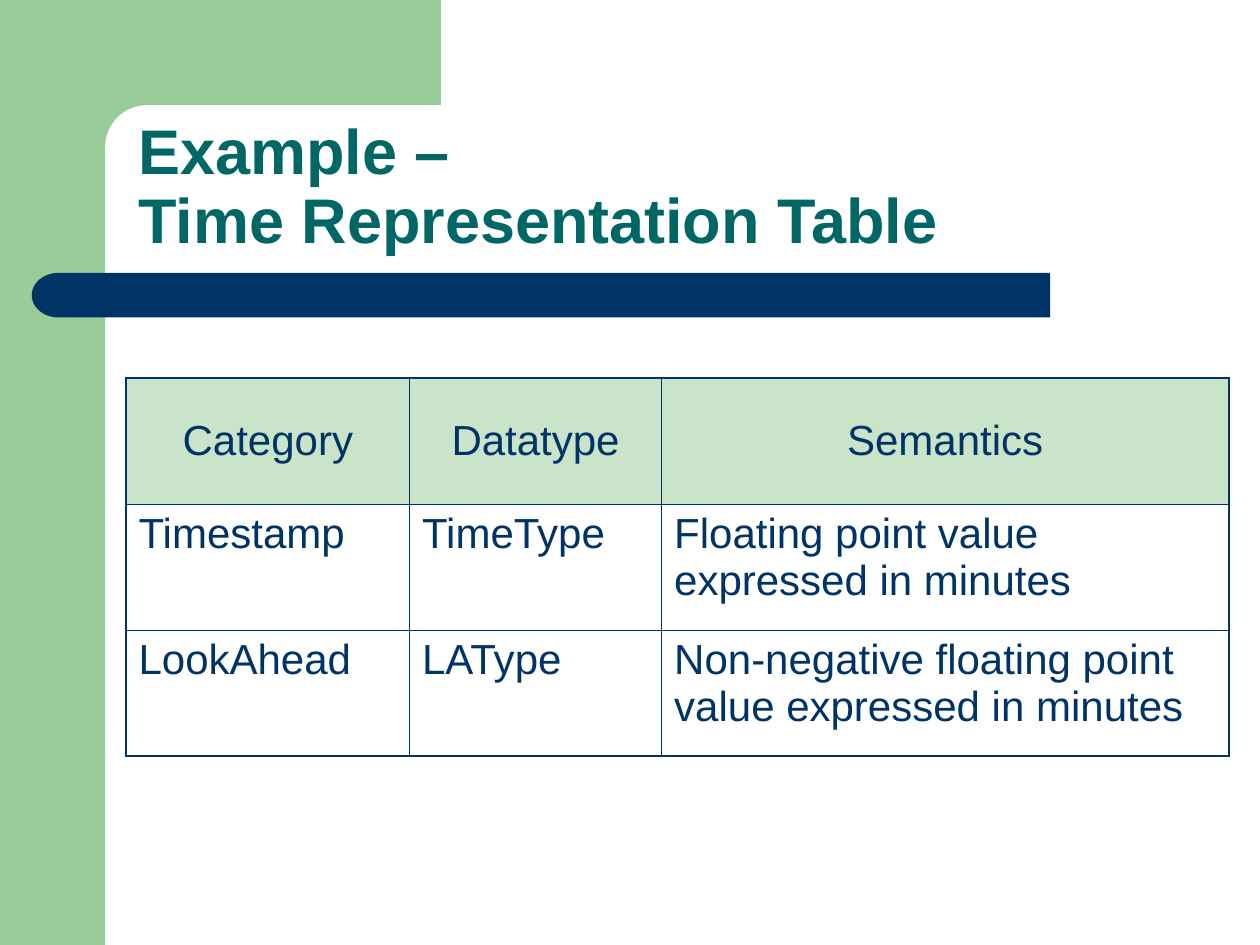
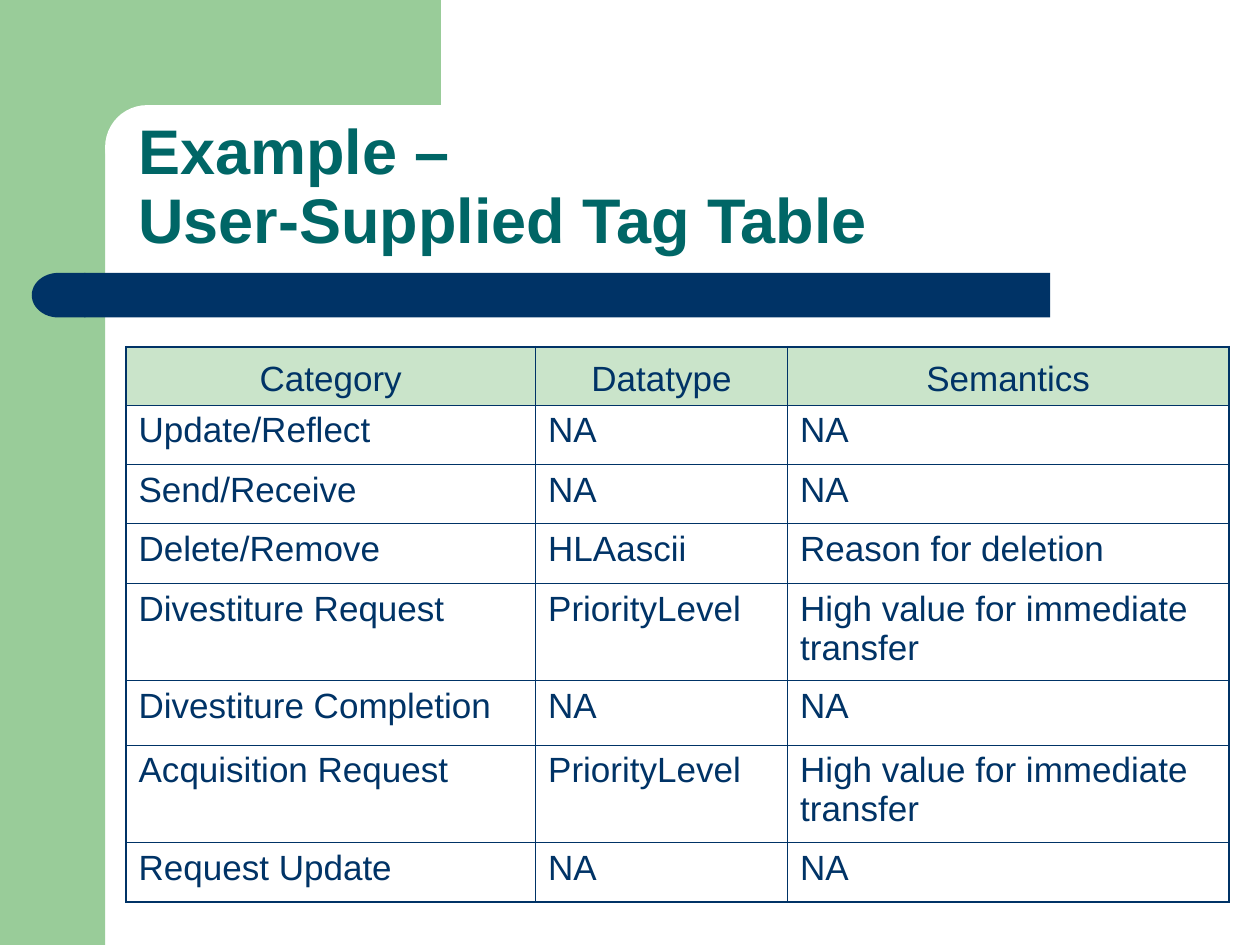
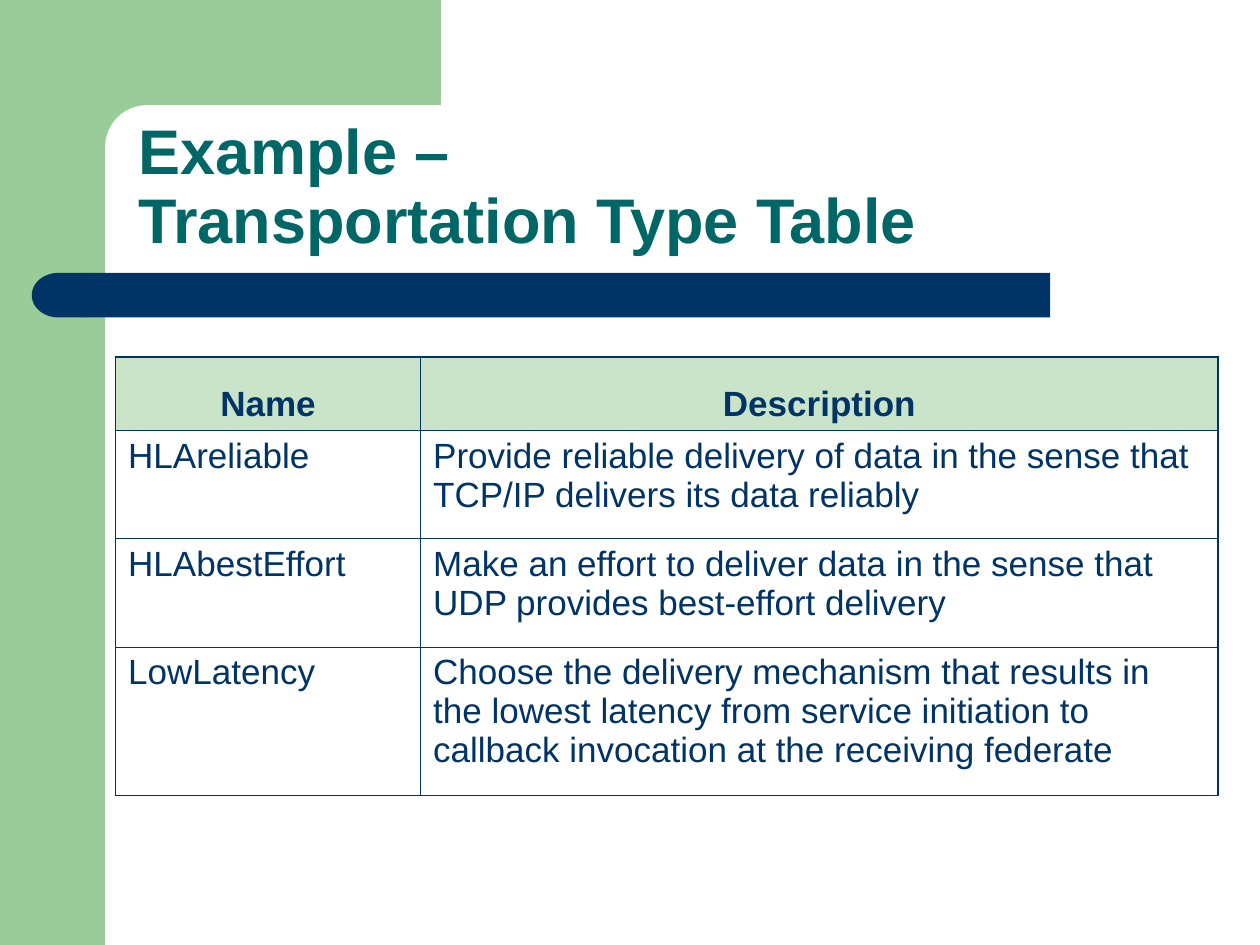
from collections import namedtuple

from lxml import etree
from pptx import Presentation
from pptx.dml.color import RGBColor
from pptx.enum.shapes import MSO_SHAPE
from pptx.enum.text import MSO_ANCHOR, PP_ALIGN
from pptx.oxml.ns import qn
from pptx.util import Cm, Pt

RECTANGLE = MSO_SHAPE.RECTANGLE
ROUNDED = MSO_SHAPE.ROUNDED_RECTANGLE
DELAY = MSO_SHAPE.FLOWCHART_DELAY
TOP, MIDDLE, BOTTOM = MSO_ANCHOR.TOP, MSO_ANCHOR.MIDDLE, MSO_ANCHOR.BOTTOM
LEFT, CENTER = PP_ALIGN.LEFT, PP_ALIGN.CENTER

GREEN = RGBColor(0x99, 0xCC, 0x99)
PALE_GREEN = RGBColor(0xCA, 0xE4, 0xCA)
TEAL = RGBColor(0x00, 0x66, 0x66)
NAVY = RGBColor(0x00, 0x33, 0x66)
WHITE = RGBColor(0xFF, 0xFF, 0xFF)

FONT = "Arial"
OUTER_LINE, INNER_LINE = Pt(1.08), Pt(0.45)

# All box measures are centimetres
Box = namedtuple("Box", "left top width height")
SLIDE = Box(0, 0, 25.4, 19.05)
TITLE = Box(2.54, 2.12, 22.23, 3.18)
BAR = Box(0.64, 5.5, 20.53, 0.9)


def style_font(font, size, color, bold=False):
    font.name = FONT
    font.size = Pt(size)
    font.bold = bold
    font.color.rgb = color


def add_plain_shape(slide, kind, box, color):
    shape = slide.shapes.add_shape(kind, *(Cm(length) for length in box))
    shape.shadow.inherit = False
    shape.fill.solid()
    shape.fill.fore_color.rgb = color
    shape.line.fill.background()
    return shape


def add_frame(slide, box):
    """Green side and top bands with a rounded white inner corner."""
    side_width = 2.12
    add_plain_shape(slide, RECTANGLE,
                    Box(box.left, box.top, side_width, box.height), GREEN)
    add_plain_shape(slide, RECTANGLE,
                    Box(box.left + 1.9, box.top, 6.99, 2.96), GREEN)
    corner = add_plain_shape(
        slide, ROUNDED,
        Box(box.left + side_width, box.top + 2.12, 14.18, 1.69), WHITE)
    corner.adjustments[0] = 0.5


def add_title_bar(slide, box):
    """Navy bar with a round left end."""
    cap_width = 1.08
    bar = add_plain_shape(
        slide, ROUNDED,
        Box(box.left + cap_width - 0.02, box.top,
            box.width - cap_width + 0.02, box.height), NAVY)
    bar.adjustments[0] = 0
    cap = add_plain_shape(
        slide, DELAY, Box(box.left, box.top, cap_width, box.height), NAVY)
    cap.rotation = 180


def add_title(slide, box, subject):
    text_box = slide.shapes.add_textbox(*(Cm(length) for length in box))
    text_frame = text_box.text_frame
    text_frame.word_wrap = True
    text_frame.vertical_anchor = BOTTOM
    text_frame.text = f"Example –\v{subject}"
    paragraph = text_frame.paragraphs[0]
    paragraph.line_spacing = 0.9
    for run in paragraph.runs:
        style_font(run.font, 36, TEAL, bold=True)


def add_border(cell, side, width):
    line = etree.SubElement(cell._tc.get_or_add_tcPr(), qn(f"a:ln{side}"),
                            w=str(int(width)))
    fill = etree.SubElement(line, qn("a:solidFill"))
    etree.SubElement(fill, qn("a:srgbClr"), val=str(NAVY))


def add_example_table(slide, box, columns, row_heights, rows, size,
                      header_anchor=BOTTOM, header_bold=False):
    """Header row and body rows; columns are shares of the box width."""
    row_count, column_count = len(rows), len(columns)
    frame = slide.shapes.add_table(row_count, column_count,
                                   *(Cm(length) for length in box))
    table = frame.table
    table.first_row = table.horz_banding = False
    for column, share in zip(table.columns, columns):
        column.width = Cm(box.width * share / sum(columns))
    for row, share in zip(table.rows, row_heights):
        row.height = Cm(box.height * share / sum(row_heights))

    for i, row in enumerate(rows):
        for j, text in enumerate(row):
            cell = table.cell(i, j)
            header = i == 0
            # Heavy lines only around the whole table
            edges = {"L": j == 0, "R": j == column_count - 1,
                     "T": header, "B": i == row_count - 1}
            for side, outer in edges.items():
                add_border(cell, side, OUTER_LINE if outer else INNER_LINE)
            if header:
                cell.fill.solid()
                cell.fill.fore_color.rgb = PALE_GREEN
            else:
                cell.fill.background()
            cell.vertical_anchor = header_anchor if header else TOP
            cell.text_frame.text = text
            paragraph = cell.text_frame.paragraphs[0]
            paragraph.alignment = CENTER if header else LEFT
            style_font(paragraph.runs[0].font, size, NAVY,
                       header and header_bold)


def add_example_slide(presentation, subject):
    slide = presentation.slides.add_slide(presentation.slide_layouts[6])
    add_frame(slide, SLIDE)
    add_title_bar(slide, BAR)
    add_title(slide, TITLE, subject)
    return slide


def main():
    presentation = Presentation()
    presentation.slide_width = Cm(SLIDE.width)
    presentation.slide_height = Cm(SLIDE.height)
    header = ("Category", "Datatype", "Semantics")

    # Time representation
    slide = add_example_slide(presentation, "Time Representation Table")
    add_example_table(
        slide, Box(2.54, 7.62, 22.23, 7.62), (2.25, 2, 4.5), (1, 1, 1),
        [header,
         ("Timestamp", "TimeType",
          "Floating point value expressed in minutes"),
         ("LookAhead", "LAType",
          "Non-negative floating point value expressed in minutes")],
        size=24, header_anchor=MIDDLE)

    # User-supplied tags
    slide = add_example_slide(presentation, "User-Supplied Tag Table")
    priority = ("PriorityLevel", "High value for immediate transfer")
    unused = ("NA", "NA")
    add_example_table(
        slide, Box(2.54, 6.99, 22.23, 11.19), (3.25, 2, 3.5),
        (0.46, 0.47, 0.47, 0.47, 0.77, 0.51, 0.77, 0.47),
        [header,
         ("Update/Reflect", *unused),
         ("Send/Receive", *unused),
         ("Delete/Remove", "HLAascii", "Reason for deletion"),
         ("Divestiture Request", *priority),
         ("Divestiture Completion", *unused),
         ("Acquisition Request", *priority),
         ("Request Update", *unused)],
        size=20)

    # Transportation types
    slide = add_example_slide(presentation, "Transportation Type Table")
    add_example_table(
        slide, Box(2.33, 7.2, 22.23, 8.84), (2.42, 6.33),
        (0.58, 0.86, 0.86, 1.18),
        [("Name", "Description"),
         ("HLAreliable",
          "Provide reliable delivery of data in the sense that "
          "TCP/IP delivers its data reliably"),
         ("HLAbestEffort",
          "Make an effort to deliver data in the sense that "
          "UDP provides best-effort delivery"),
         ("LowLatency",
          "Choose the delivery mechanism that results in the lowest latency "
          "from service initiation to callback invocation at the receiving "
          "federate")],
        size=20, header_bold=True)

    presentation.save("out.pptx")


if __name__ == "__main__":
    main()
